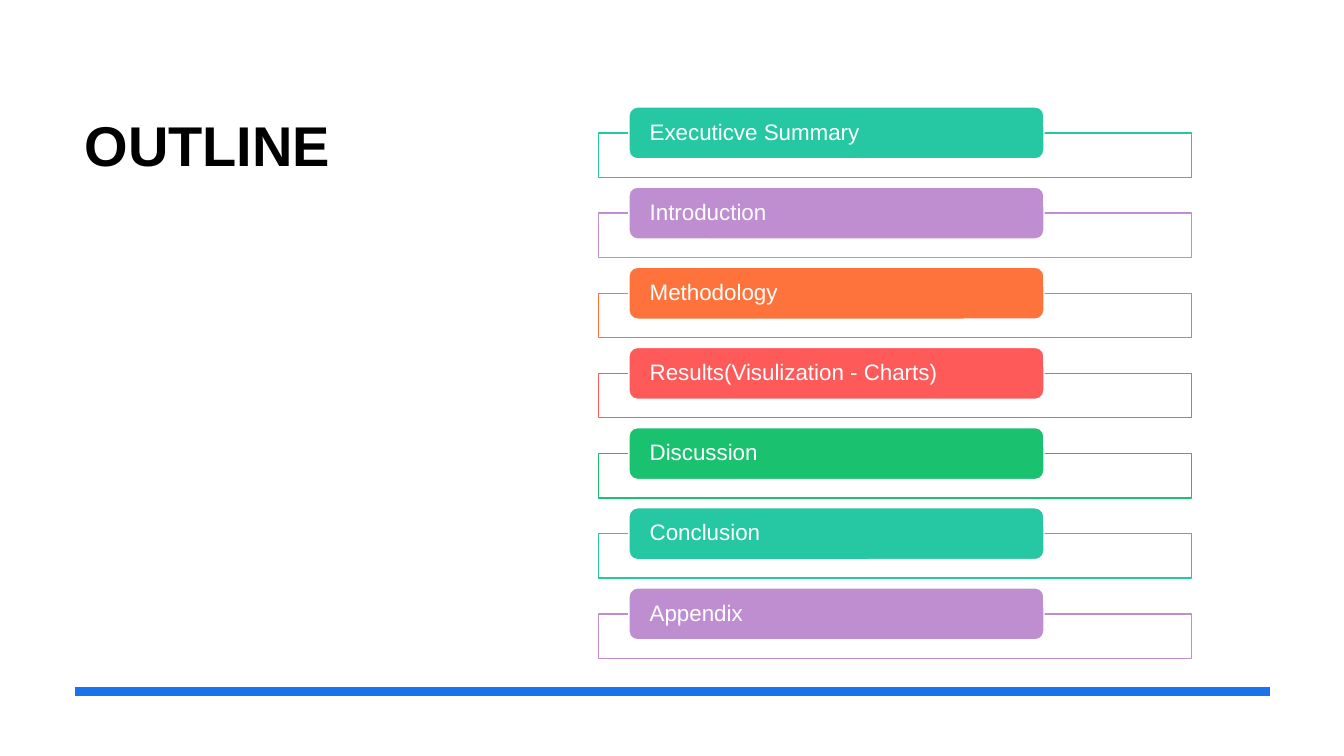
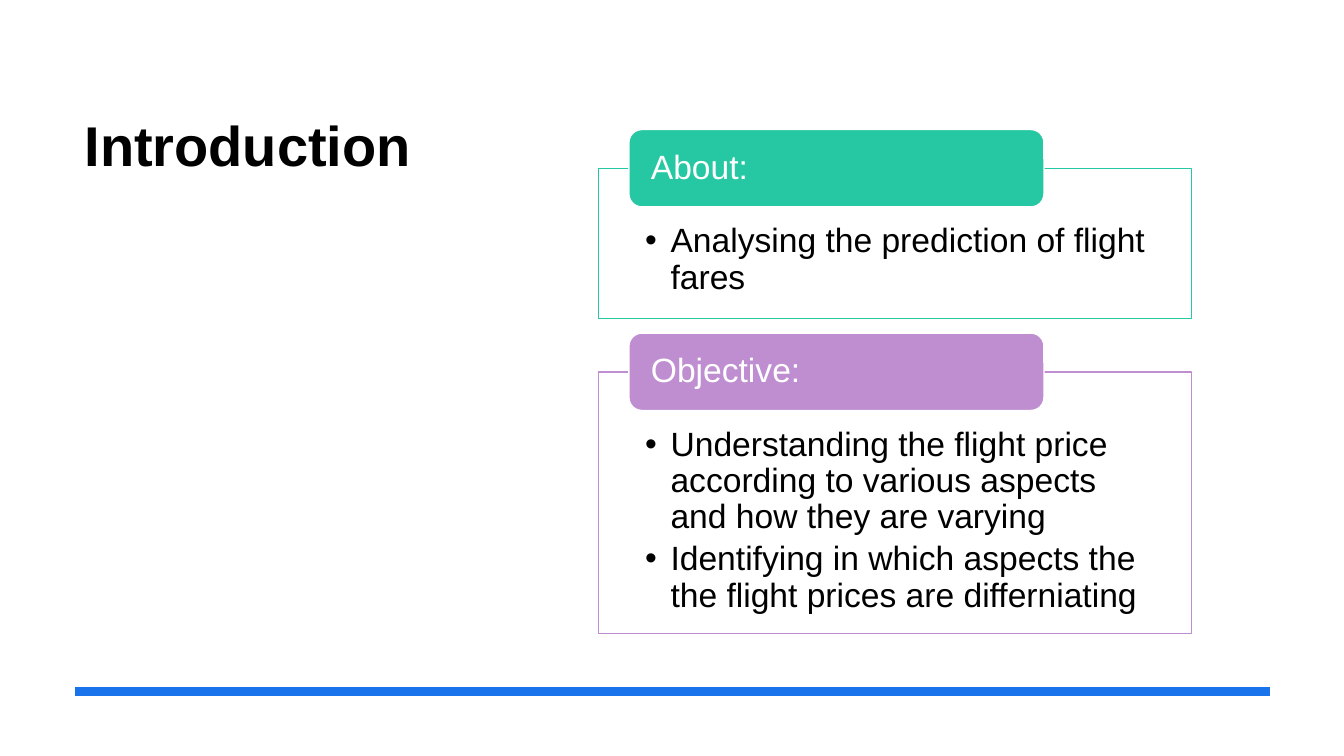
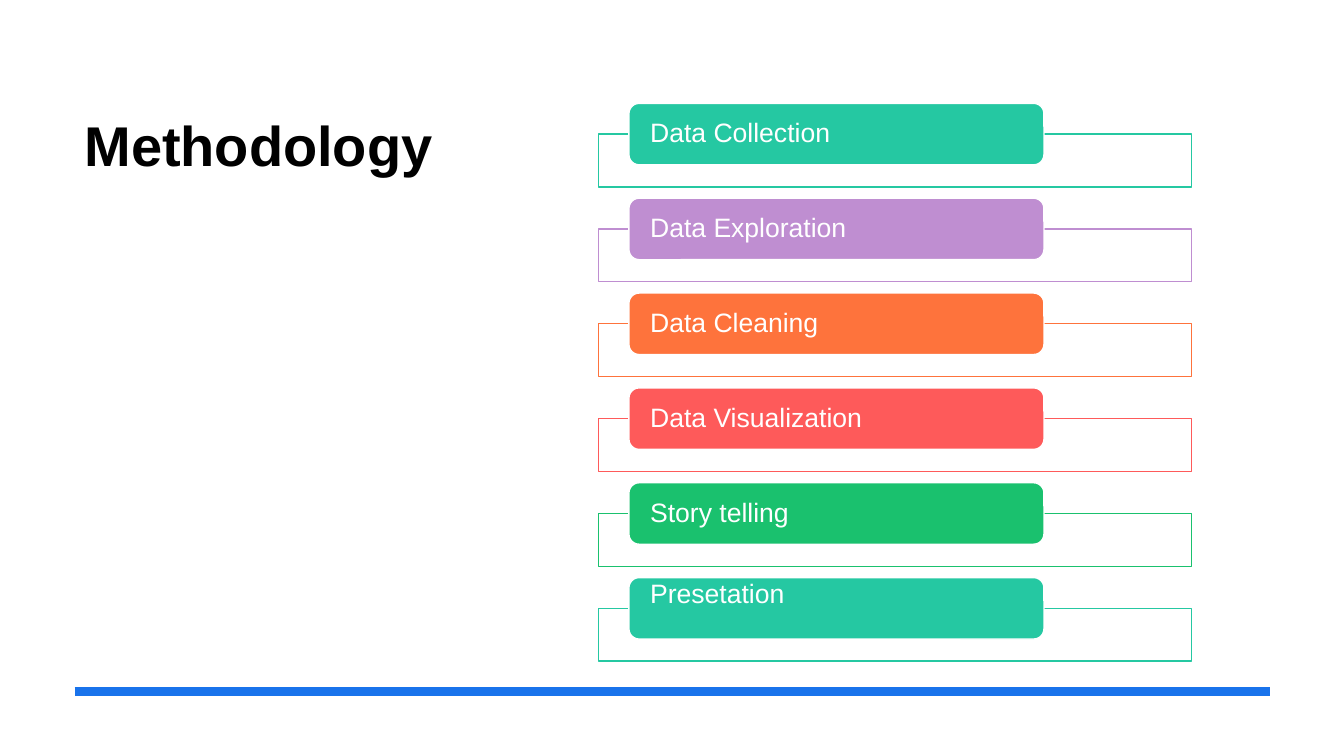
"""Build three slides of titled, colour-coded section frames."""
from lxml import etree
from pptx import Presentation
from pptx.dml.color import RGBColor
from pptx.enum import shapes as kinds, text as txt
from pptx.oxml import ns
from pptx.util import Cm, Pt

BLACK = RGBColor(0x00, 0x00, 0x00)
WHITE = RGBColor(0xFF, 0xFF, 0xFF)
BLUE = RGBColor(0x19, 0x73, 0xEB)
TEAL = RGBColor(0x25, 0xC8, 0xA2)
MAUVE = RGBColor(0xBF, 0x8E, 0xD1)
ORANGE = RGBColor(0xFE, 0x73, 0x3C)
CORAL = RGBColor(0xFE, 0x5A, 0x5A)
GREEN = RGBColor(0x1A, 0xC1, 0x6E)
TINTS = [TEAL, MAUVE, ORANGE, CORAL, GREEN]
FACE = "Arial"
INDENT = Cm(0.64)
RECT = kinds.MSO_SHAPE.RECTANGLE
ROUND = kinds.MSO_SHAPE.ROUNDED_RECTANGLE
TOP, MIDDLE = txt.MSO_ANCHOR.TOP, txt.MSO_ANCHOR.MIDDLE

SLIDES = [
    dict(title="OUTLINE", top=3.35, tab=1.31, gap=0.9, size=16, rows=[
        ("Executicve Summary", 1.12, []),
        ("Introduction", 1.12, []),
        ("Methodology", 1.12, []),
        ("Results(Visulization - Charts)", 1.12, []),
        ("Discussion", 1.12, []),
        ("Conclusion", 1.12, []),
        ("Appendix", 1.12, []),
    ]),
    dict(title="Introduction", top=4.24, tab=1.95, gap=1.35, size=24, rows=[
        ("About:", 3.78, ["Analysing the prediction of flight fares"]),
        ("Objective:", 6.6, [
            "Understanding the flight price according to various aspects and how they are varying",
            "Identifying in which aspects the the flight prices are differniating",
        ]),
    ]),
    dict(title="Methodology", top=3.38, tab=1.55, gap=1.06, size=19, rows=[
        ("Data Collection", 1.33, []),
        ("Data Exploration", 1.33, []),
        ("Data Cleaning", 1.33, []),
        ("Data Visualization", 1.33, []),
        ("Story telling", 1.33, []),
        ("Presetation", 1.33, []),
    ]),
]
RAISED = {"Presetation"}


def style(para, size, color, bold=False):
    para.alignment = txt.PP_ALIGN.LEFT
    font = para.font
    font.name, font.size, font.bold = FACE, Pt(size), bold
    font.color.rgb = color


def pad(frame, side, top, foot, anchor):
    frame.word_wrap = True
    frame.auto_size = txt.MSO_AUTO_SIZE.NONE
    frame.margin_left = frame.margin_right = Cm(side)
    frame.margin_top, frame.margin_bottom = Cm(top), Cm(foot)
    frame.vertical_anchor = anchor


def block(slide, kind, box, fill, line):
    shape = slide.shapes.add_shape(kind, *map(Cm, box))
    shape.shadow.inherit = False
    shape.fill.solid()
    shape.fill.fore_color.rgb = fill
    shape.line.color.rgb = line
    shape.line.width = Pt(1)
    return shape


def bullet(para):
    props = para._p.get_or_add_pPr()
    props.set("marL", str(INDENT))
    props.set("indent", str(-INDENT))
    etree.SubElement(props, ns.qn("a:buFont")).set("typeface", FACE)
    etree.SubElement(props, ns.qn("a:buChar")).set("char", "•")


def write(frame, lines, size):
    pad(frame, 1.17, 1.4, 0.48, TOP)
    for num, line in enumerate(lines):
        para = frame.add_paragraph() if num else frame.paragraphs[0]
        para.text = line
        bullet(para)
        style(para, size, BLACK)
        para.line_spacing = 0.9
        para.space_after = Pt(4)


def section(slide, top, row, tint, tab, size):
    label, height, lines = row
    frame = block(slide, RECT, (15.09, top, 14.94, height), WHITE, tint)
    if lines:
        write(frame.text_frame, lines, size)
    head = block(slide, ROUND, (15.85, top - tab / 2, 10.46, tab), tint, WHITE)
    pad(head.text_frame, 0.46, 0, 0, TOP if label in RAISED else MIDDLE)
    para = head.text_frame.paragraphs[0]
    para.text = label
    style(para, size, WHITE)
    para.line_spacing = 0.9


def base(deck, name):
    slide = deck.slides.add_slide(deck.slide_layouts[5])
    title = slide.shapes.title
    title.left, title.top = Cm(1.88), Cm(2.54)
    title.width, title.height = Cm(10.21), Cm(11.56)
    title.text = name
    pad(title.text_frame, 0.25, 0.25, 0.13, TOP)
    style(title.text_frame.paragraphs[0], 40, BLACK, True)
    rule = slide.shapes.add_connector(
        kinds.MSO_CONNECTOR.STRAIGHT, Cm(1.88), Cm(17.42), Cm(32), Cm(17.42))
    rule.line.color.rgb = BLUE
    rule.line.width = Pt(6)
    etree.SubElement(rule._element.spPr, ns.qn("a:effectLst"))
    return slide


def main():
    deck = Presentation()
    deck.slide_width, deck.slide_height = Cm(33.87), Cm(19.05)
    for page in SLIDES:
        slide = base(deck, page["title"])
        top = page["top"]
        for num, row in enumerate(page["rows"]):
            tint = TINTS[num % len(TINTS)]
            section(slide, top, row, tint, page["tab"], page["size"])
            top += row[1] + page["gap"]
    deck.save("out.pptx")


if __name__ == "__main__":
    main()
